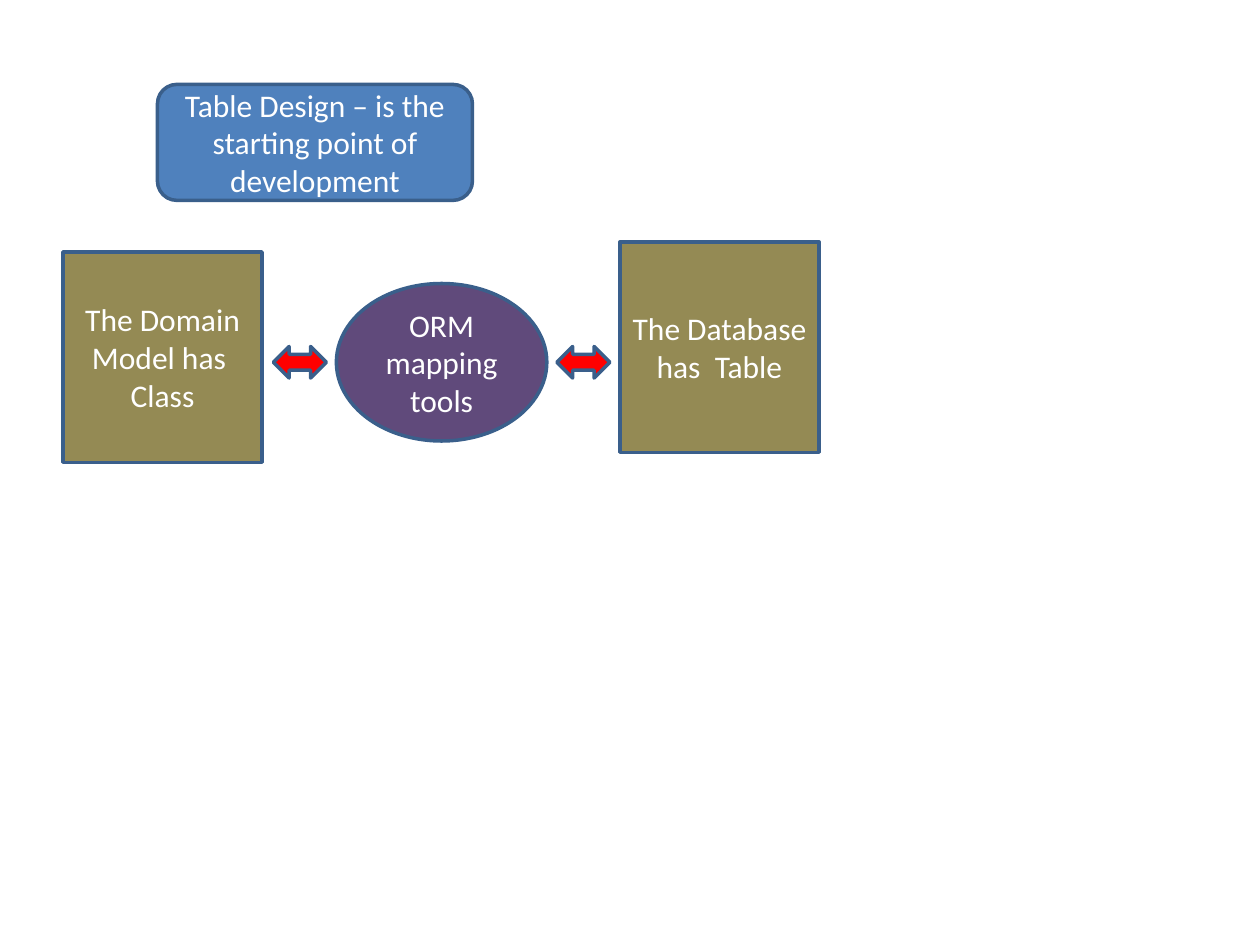
from dataclasses import dataclass

import pptx
import pptx.dml.color
import pptx.enum.shapes
import pptx.enum.text
import pptx.util
from pptx.dml.color import RGBColor
from pptx.enum.shapes import MSO_SHAPE
from pptx.util import Inches

BLUE = RGBColor(0x4F, 0x81, 0xBD)
OLIVE = RGBColor(0x94, 0x8A, 0x54)
PURPLE = RGBColor(0x60, 0x4A, 0x7B)
RED = RGBColor(0xFF, 0x00, 0x00)
OUTLINE = RGBColor(0x3A, 0x5F, 0x8B)
WHITE = RGBColor(0xFF, 0xFF, 0xFF)


@dataclass(frozen=True)
class Block:
    kind: MSO_SHAPE
    left: float
    top: float
    width: float
    height: float
    fill: RGBColor
    text: str = ""


BLOCKS = [
    Block(MSO_SHAPE.ROUNDED_RECTANGLE, 1.25, 0.67, 2.5, 0.92, BLUE,
          "Table Design – is the starting point of development"),
    Block(MSO_SHAPE.RECTANGLE, 0.5, 2, 1.58, 1.67, OLIVE, "The Domain Model has  Class"),
    Block(MSO_SHAPE.RECTANGLE, 4.92, 1.92, 1.58, 1.67, OLIVE, "The Database has  Table"),
    Block(MSO_SHAPE.OVAL, 2.67, 2.25, 1.67, 1.25, PURPLE, "ORM mapping tools"),
    *(Block(MSO_SHAPE.LEFT_RIGHT_ARROW, left, 2.75, 0.42, 0.25, RED) for left in (2.17, 4.42)),
]


def write_label(shape: pptx.shapes.autoshape.Shape, text: str) -> None:
    frame = shape.text_frame
    frame.word_wrap = True
    frame.vertical_anchor = pptx.enum.text.MSO_ANCHOR.MIDDLE
    para = frame.paragraphs[0]
    para.text = text
    para.alignment = pptx.enum.text.PP_ALIGN.CENTER
    para.font.name = "Calibri"
    para.font.size = pptx.util.Pt(18)
    para.font.color.rgb = WHITE


def draw_block(page: pptx.slide.Slide, block: Block) -> None:
    shape = page.shapes.add_shape(
        block.kind, Inches(block.left), Inches(block.top),
        Inches(block.width), Inches(block.height))
    shape.shadow.inherit = False
    shape.fill.solid()
    shape.fill.fore_color.rgb = block.fill
    shape.line.color.rgb = OUTLINE
    shape.line.width = pptx.util.Pt(2)
    if block.text:
        write_label(shape, block.text)


def main() -> None:
    deck = pptx.Presentation()
    deck.slide_width = Inches(10)
    deck.slide_height = Inches(7.5)
    page = deck.slides.add_slide(deck.slide_layouts[6])
    for block in BLOCKS:
        draw_block(page, block)
    deck.save("out.pptx")


if __name__ == "__main__":
    main()
